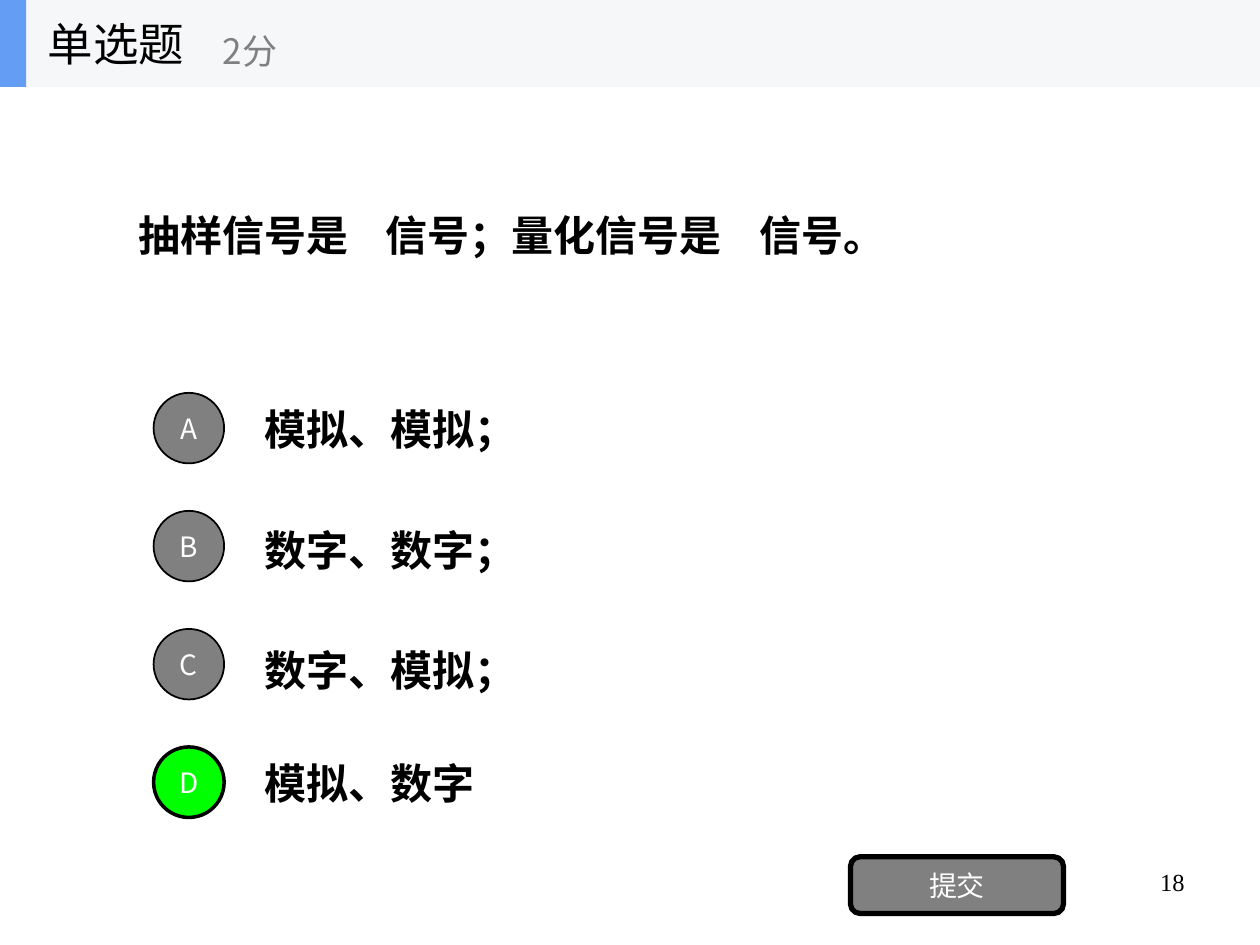
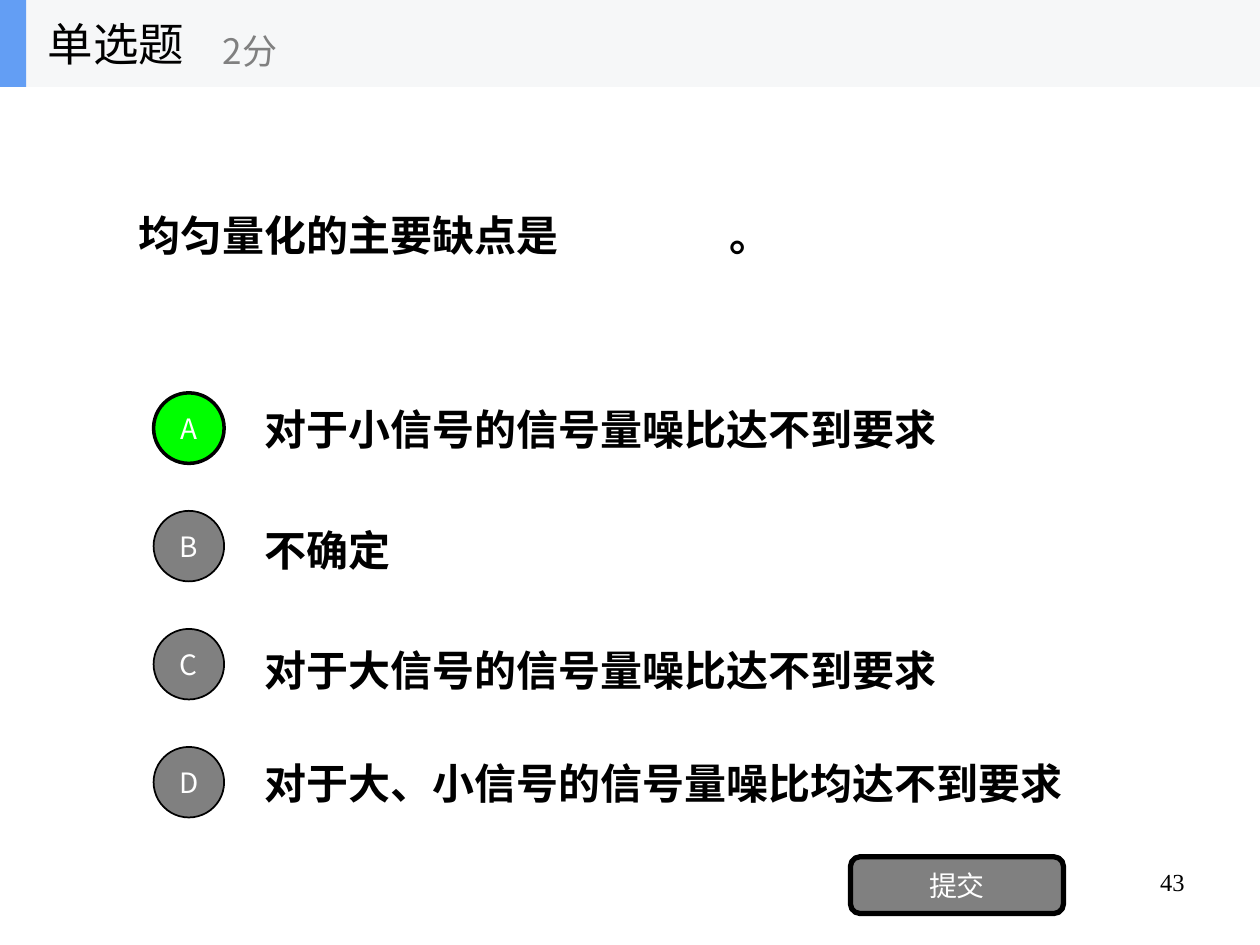
from dataclasses import dataclass

from lxml import etree
from pptx import Presentation
from pptx.dml.color import RGBColor
from pptx.enum import shapes, text
from pptx.oxml import ns
from pptx.util import Pt

SHAPE = shapes.MSO_SHAPE
ALIGN = text.PP_ALIGN


@dataclass(frozen=True)
class Theme:
    ink: str = "000000"
    grey: str = "808080"
    white: str = "FFFFFF"
    correct: str = "00FF00"
    band: str = "F6F7F8"
    accent: str = "639EF4"
    serif: str = "Times New Roman"
    sans: str = "Noto Sans CJK SC"
    title: int = 26
    body: int = 24
    points: int = 20
    label: int = 16
    page: int = 14


class Quiz:
    WIDTH, HEIGHT, BAND = 720, 540, 49.7
    BADGE_TOP, BADGE_PITCH, BADGE_SIZE = 224.5, 67.45, 40.3
    # Top of each answer box, and how far its text is pushed down
    ANSWERS = ((219.6, 0), (275, 28), (343.4, 28), (421.9, 0))

    def __init__(self, theme):
        self.theme = theme
        self.prs = Presentation()
        self.prs.slide_width = Pt(self.WIDTH)
        self.prs.slide_height = Pt(self.HEIGHT)
        self.s = None

    def set_text(self, tf, words, size, color, font, bold=False,
                 align=ALIGN.LEFT):
        """Fill the first paragraph; a tab becomes an underlined blank."""
        p = tf.paragraphs[0]
        p.alignment = align
        p.font.size, p.font.name, p.font.bold = Pt(size), font, bold
        p.font.color.rgb = RGBColor.from_string(color)
        for i, part in enumerate(words.split("\t")):
            if i:
                blank = p.add_run()
                blank.text = "\t"
                blank.font.underline = True
            r = p.add_run()
            r.text = part
        return p

    def text(self, box, words, size, color, font, anchor=text.MSO_ANCHOR.MIDDLE,
             drop=0, **style):
        sp = self.s.shapes.add_textbox(*map(Pt, box))
        tf = sp.text_frame
        tf.word_wrap = True
        tf.vertical_anchor = anchor
        tf.margin_top = Pt(3.6 + drop)
        return self.set_text(tf, words, size, color, font, **style)

    def shape(self, kind, box, fill, line=0, label=""):
        t = self.theme
        sp = self.s.shapes.add_shape(kind, *map(Pt, box))
        sp.shadow.inherit = False
        sp.fill.solid()
        sp.fill.fore_color.rgb = RGBColor.from_string(fill)
        if line:
            sp.line.color.rgb = RGBColor.from_string(t.ink)
            sp.line.width = Pt(line)
        else:
            sp.line.fill.background()
        if label:
            sp.text_frame.word_wrap = False
            self.set_text(sp.text_frame, label, t.label, t.white, t.sans,
                          align=ALIGN.CENTER)

    def header(self, title, points):
        t = self.theme
        self.shape(SHAPE.RECTANGLE, (0, 0, self.WIDTH, self.BAND), t.band)
        self.shape(SHAPE.RECTANGLE, (0, 0, 15, self.BAND), t.accent)
        self.text((20.2, 0, 149.8, self.BAND), title, t.title, t.ink, t.sans)
        self.text((120.2, 8.8, 180, 40.3), points, t.points, t.grey, t.sans)

    def question(self, words, blank_ends):
        """Each blank runs up to its tab stop, measured from the text edge."""
        t = self.theme
        p = self.text((72, 49.7, 576, 168.5), words, t.body, t.ink, t.serif,
                      bold=True)
        tabs = etree.Element(ns.qn("a:tabLst"))
        for end in blank_ends:
            etree.SubElement(tabs, ns.qn("a:tab"), pos=str(Pt(end)), algn="l")
        p._p.get_or_add_pPr().insert(0, tabs)

    def answer(self, i, words, correct):
        t = self.theme
        top, drop = self.ANSWERS[i]
        self.text((144, top, 504, 50.4), words, t.body, t.ink, t.serif,
                  drop=drop, bold=True)
        badge = (87.8, self.BADGE_TOP + i * self.BADGE_PITCH,
                 self.BADGE_SIZE, self.BADGE_SIZE)
        self.shape(SHAPE.OVAL, badge, t.correct if correct else t.grey,
                   2 if correct else 1, "ABCD"[i])

    def footer(self, page):
        t = self.theme
        self.shape(SHAPE.ROUNDED_RECTANGLE, (486, 489.6, 121.7, 32.4),
                   t.grey, 3, "提交")
        self.text((516.2, 491.8, 167.8, 37.4), page, t.page, t.ink, t.serif,
                  anchor=text.MSO_ANCHOR.TOP, align=ALIGN.RIGHT)

    def slide(self, page, question, blank_ends, answers, correct):
        self.s = self.prs.slides.add_slide(self.prs.slide_layouts[6])
        self.header("单选题", "2分")
        self.question(question, blank_ends)
        for i, words in enumerate(answers):
            self.answer(i, words, "ABCD"[i] == correct)
        self.footer(page)


def main():
    quiz = Quiz(Theme())
    quiz.slide("18", "抽样信号是\t信号；量化信号是\t信号。", (141.4, 355.1),
               ("模拟、模拟；", "数字、数字；", "数字、模拟；", "模拟、数字"), "D")
    quiz.slide("43", "均匀量化的主要缺点是\t。", (337.9,),
               ("对于小信号的信号量噪比达不到要求",
                "不确定",
                "对于大信号的信号量噪比达不到要求",
                "对于大、小信号的信号量噪比均达不到要求"), "A")
    quiz.prs.save("out.pptx")


if __name__ == "__main__":
    main()
